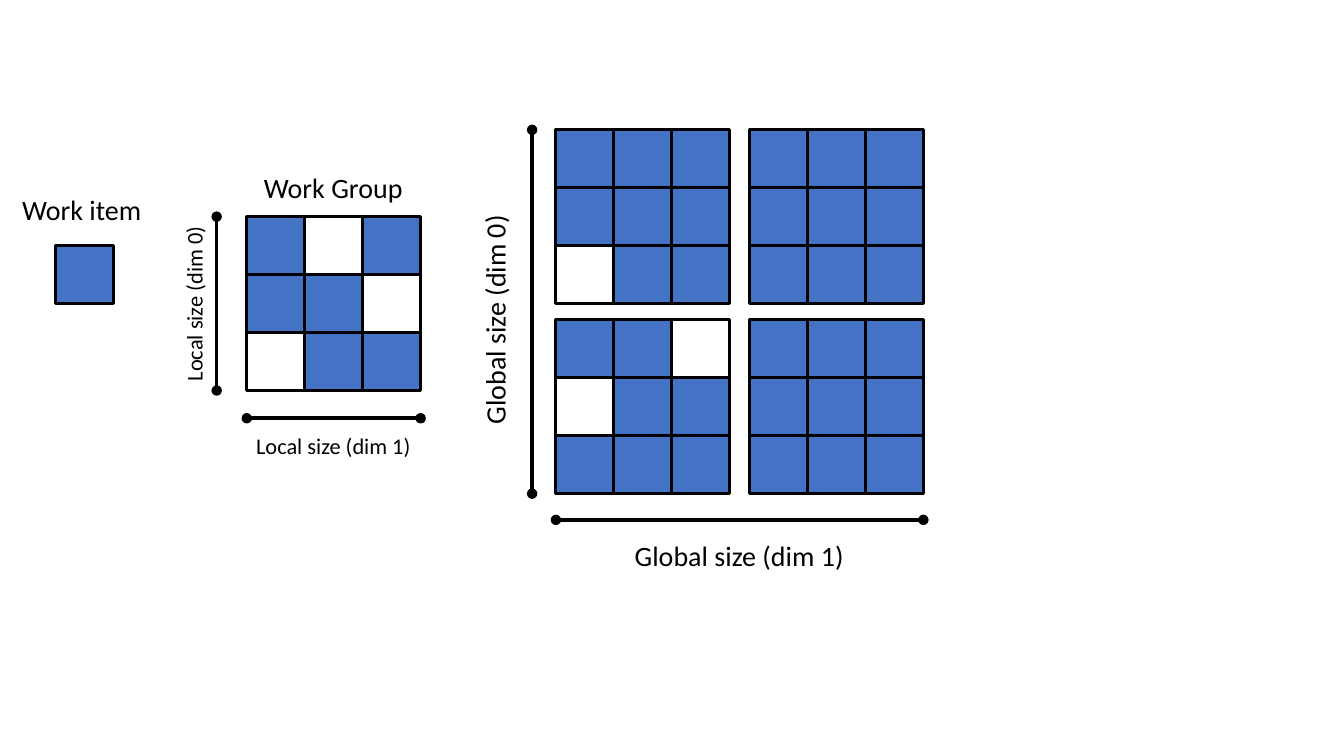
from pptx import Presentation
from pptx.dml.color import RGBColor
from pptx.enum.shapes import MSO_CONNECTOR, MSO_SHAPE
from pptx.enum.text import MSO_AUTO_SIZE, PP_ALIGN
from pptx.oxml.ns import qn
from pptx.util import Cm, Pt
from lxml.etree import SubElement

BLUE = RGBColor(0x44, 0x72, 0xC4)
WHITE = RGBColor(0xFF, 0xFF, 0xFF)
BLACK = RGBColor(0x00, 0x00, 0x00)

# Layout in centimetres
ITEM = 1.46
GROUP = 3 * ITEM
LOCAL_LEFT, LOCAL_TOP = 6.22, 5.46
GLOBAL_LEFT, GLOBAL_TOP = 14.01, 3.27
STEP_X, STEP_Y = 4.88, 4.79
LOCAL_RIGHT, LOCAL_BOTTOM = LOCAL_LEFT + GROUP, LOCAL_TOP + GROUP
GLOBAL_RIGHT = GLOBAL_LEFT + STEP_X + GROUP
GLOBAL_BOTTOM = GLOBAL_TOP + STEP_Y + GROUP

presentation = Presentation()
presentation.slide_width = Cm(33.87)
presentation.slide_height = Cm(19.05)
slide = presentation.slides.add_slide(presentation.slide_layouts[6])


def add_work_item(left, top, color):
    item = slide.shapes.add_shape(
        MSO_SHAPE.RECTANGLE, Cm(left), Cm(top), Cm(ITEM), Cm(ITEM))
    item.shadow.inherit = False
    item.fill.solid()
    item.fill.fore_color.rgb = color
    item.line.color.rgb = BLACK
    item.line.width = Pt(2)


# Single work item
add_work_item(1.4, 6.19, BLUE)

# Work groups: left, top and the white (row, column) cells
work_groups = [
    (LOCAL_LEFT, LOCAL_TOP, {(0, 1), (1, 2), (2, 0)}),
    (GLOBAL_LEFT, GLOBAL_TOP, {(2, 0)}),
    (GLOBAL_LEFT, GLOBAL_TOP + STEP_Y, {(0, 2), (1, 0)}),
    (GLOBAL_LEFT + STEP_X, GLOBAL_TOP, set()),
    (GLOBAL_LEFT + STEP_X, GLOBAL_TOP + STEP_Y, set()),
]
for left, top, white_cells in work_groups:
    for row in range(3):
        for column in range(3):
            color = WHITE if (row, column) in white_cells else BLUE
            add_work_item(left + column * ITEM, top + row * ITEM, color)

# Size bars with round ends
size_bars = [
    (5.46, LOCAL_TOP, 5.46, LOCAL_BOTTOM),
    (LOCAL_LEFT, 10.54, LOCAL_RIGHT, 10.54),
    (13.41, GLOBAL_TOP, 13.41, GLOBAL_BOTTOM),
    (GLOBAL_LEFT, 13.1, GLOBAL_RIGHT, 13.1),
]
for ends in size_bars:
    bar = slide.shapes.add_connector(
        MSO_CONNECTOR.STRAIGHT, *[Cm(value) for value in ends])
    bar.line.color.rgb = BLACK
    bar.line.width = Pt(2.5)
    properties = bar._element.spPr
    outline = properties.find(qn("a:ln"))
    for end in ("a:headEnd", "a:tailEnd"):
        SubElement(outline, qn(end), type="oval")
    SubElement(properties, qn("a:effectLst"))

# Labels: text, centre x, centre y, width, height, font size, rotation
labels = [
    ("Work item", 2.06, 5.27, 3.7, 1.09, 20, 0),
    ("Work Group", 8.4, 4.71, 4.2, 1.09, 20, 0),
    ("Local size (dim 0)", 4.89, 7.66, 4.6, 0.94, 16, 270),
    ("Local size (dim 1)", 8.4, 11.24, 4.6, 0.94, 16, 0),
    ("Global size (dim 0)", 12.46, 8.06, 6, 1.09, 20, 270),
    ("Global size (dim 1)", 18.63, 13.98, 6, 1.09, 20, 0),
]
frame_format = {"word_wrap": False, "auto_size": MSO_AUTO_SIZE.SHAPE_TO_FIT_TEXT}
for text, center_x, center_y, width, height, size, rotation in labels:
    label = slide.shapes.add_textbox(
        Cm(center_x - width / 2), Cm(center_y - height / 2), Cm(width), Cm(height))
    label.rotation = rotation
    for name, value in frame_format.items():
        setattr(label.text_frame, name, value)
    paragraph = label.text_frame.paragraphs[0]
    paragraph.alignment = PP_ALIGN.CENTER
    run = paragraph.add_run()
    run.text = text
    font_format = {"name": "Calibri", "size": Pt(size)}
    for name, value in font_format.items():
        setattr(run.font, name, value)
    run.font.color.rgb = BLACK

presentation.save("out.pptx")
